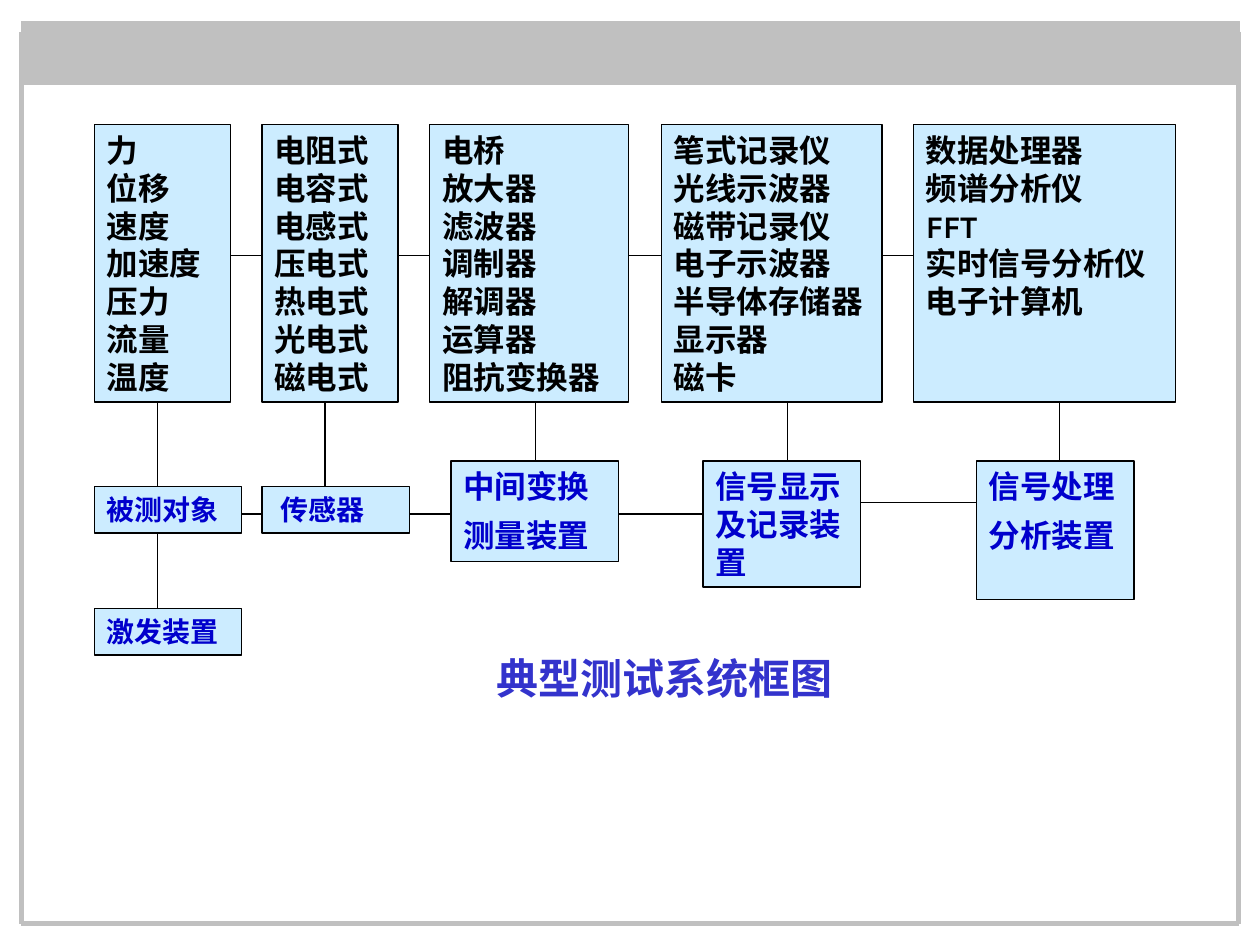
import pptx
import pptx.dml.color
import pptx.enum.shapes
import pptx.enum.text
import pptx.oxml
import pptx.util
from dataclasses import dataclass
from pptx.util import Inches


@dataclass(frozen=True)
class Theme:
    frame: str = "C0C0C0"
    fill: str = "CCECFF"
    ink: str = "000000"
    label: str = "0000CC"
    title: str = "3333CC"
    list_size: int = 18
    label_size: int = 16
    title_size: int = 24
    hairline: float = 0.75
    frame_line: float = 3


theme = Theme()
rgb = pptx.dml.color.RGBColor.from_string
deck = pptx.Presentation()
deck.slide_width, deck.slide_height = Inches(10), Inches(7.5)
page = deck.slides.add_slide(deck.slide_layouts[6])


def add_line(x1, y1, x2, y2, color=theme.ink, width=theme.hairline):
    line = page.shapes.add_connector(
        pptx.enum.shapes.MSO_CONNECTOR.STRAIGHT,
        Inches(x1), Inches(y1), Inches(x2), Inches(y2))
    line.line.color.rgb = rgb(color)
    line.line.width = pptx.util.Pt(width)
    line._element.spPr.append(pptx.oxml.parse_xml(
        '<a:effectLst xmlns:a="http://schemas.openxmlformats.org/drawingml/2006/main"/>'))


def add_box(left, top, width, height, lines, size, font, color, gap=0):
    """Add a pale blue box with one paragraph per line, gap points apart."""
    box = page.shapes.add_shape(
        pptx.enum.shapes.MSO_SHAPE.RECTANGLE,
        Inches(left), Inches(top), Inches(width), Inches(height))
    box.shadow.inherit = False
    box.fill.solid()
    box.fill.fore_color.rgb = rgb(theme.fill)
    box.line.color.rgb = rgb(theme.ink)
    box.line.width = pptx.util.Pt(theme.hairline)
    frame = box.text_frame
    frame.word_wrap = True
    frame.vertical_anchor = pptx.enum.text.MSO_ANCHOR.TOP
    for index, text in enumerate(lines):
        para = frame.paragraphs[0] if index == 0 else frame.add_paragraph()
        para.text = text
        para.alignment = pptx.enum.text.PP_ALIGN.LEFT
        if index and gap:
            para.space_before = pptx.util.Pt(gap)
        para.font.size = pptx.util.Pt(size)
        para.font.name = font
        para.font.bold = True
        para.font.color.rgb = rgb(color)
    return box


# Page frame
band = page.shapes.add_shape(
    pptx.enum.shapes.MSO_SHAPE.RECTANGLE,
    Inches(0.17), Inches(0.17), Inches(9.67), Inches(0.5))
band.shadow.inherit = False
band.fill.solid()
band.fill.fore_color.rgb = rgb(theme.frame)
band.line.color.rgb = rgb(theme.frame)
band.line.width = pptx.util.Pt(theme.hairline)
for ends in [(0.17, 0.25, 0.17, 7.33), (9.83, 0.25, 9.83, 7.33), (0.17, 7.33, 9.83, 7.33)]:
    add_line(*ends, theme.frame, theme.frame_line)

# Upper row: examples of each stage, linked left to right
list_top, list_height, link_y = 0.99, 2.2, 2.03
examples = [
    (0.75, 1.08, ["力", "位移", "速度", "加速度", "压力", "流量", "温度"]),
    (2.08, 1.08, ["电阻式", "电容式", "电感式", "压电式", "热电式", "光电式", "磁电式"]),
    (3.41, 1.58, ["电桥", "放大器", "滤波器", "调制器", "解调器", "运算器", "阻抗变换器"]),
    (5.25, 1.75, ["笔式记录仪", "光线示波器", "磁带记录仪", "电子示波器", "半导体存储器",
                  "显示器", "磁卡"]),
    (7.25, 2.08, ["数据处理器", "频谱分析仪", "FFT", "实时信号分析仪", "电子计算机"]),
]
for left, width, lines in examples:
    add_box(left, list_top, width, list_height, lines, theme.list_size, "Karla", theme.ink)
for (left, width, _), (next_left, _, _) in zip(examples, examples[1:]):
    add_line(left + width, link_y, next_left, link_y)

# Lower row: the stages, each hung from its examples at stem_x
stages = [
    (0.75, 3.86, 1.17, 0.37, ["被测对象"], theme.label_size, 1.25),
    (2.08, 3.86, 1.17, 0.37, ["传感器"], theme.label_size, 2.58),
    (3.58, 3.66, 1.33, 0.8, ["中间变换", "测量装置"], theme.list_size, 4.25),
    (5.58, 3.66, 1.25, 1, ["信号显示及记录装置"], theme.list_size, 6.25),
    (7.75, 3.66, 1.25, 1.1, ["信号处理", "分析装置"], theme.list_size, 8.41),
]
for left, top, width, height, lines, size, stem_x in stages:
    box = add_box(left, top, width, height, lines, size, "Times New Roman", theme.label, gap=6)
    if lines == ["传感器"]:
        box.text_frame.margin_left = Inches(0.15)
    add_line(stem_x, list_top + list_height, stem_x, top)
for stage, following, y in zip(stages, stages[1:], [4.08, 4.08, 4.08, 3.99]):
    add_line(stage[0] + stage[2], y, following[0], y)

# Excitation device below the measured object
add_box(0.75, 4.83, 1.17, 0.37, ["激发装置"], theme.label_size, "Times New Roman", theme.label)
add_line(1.25, 4.23, 1.25, 4.83)

# Diagram title
title = page.shapes.add_textbox(Inches(2.48), Inches(5.13), Inches(5.59), Inches(0.5))
title.text_frame.word_wrap = True
para = title.text_frame.paragraphs[0]
para.text = "典型测试系统框图"
para.alignment = pptx.enum.text.PP_ALIGN.CENTER
para.font.size = pptx.util.Pt(theme.title_size)
para.font.name = "Arial"
para.font.bold = True
para.font.color.rgb = rgb(theme.title)

deck.save("out.pptx")
